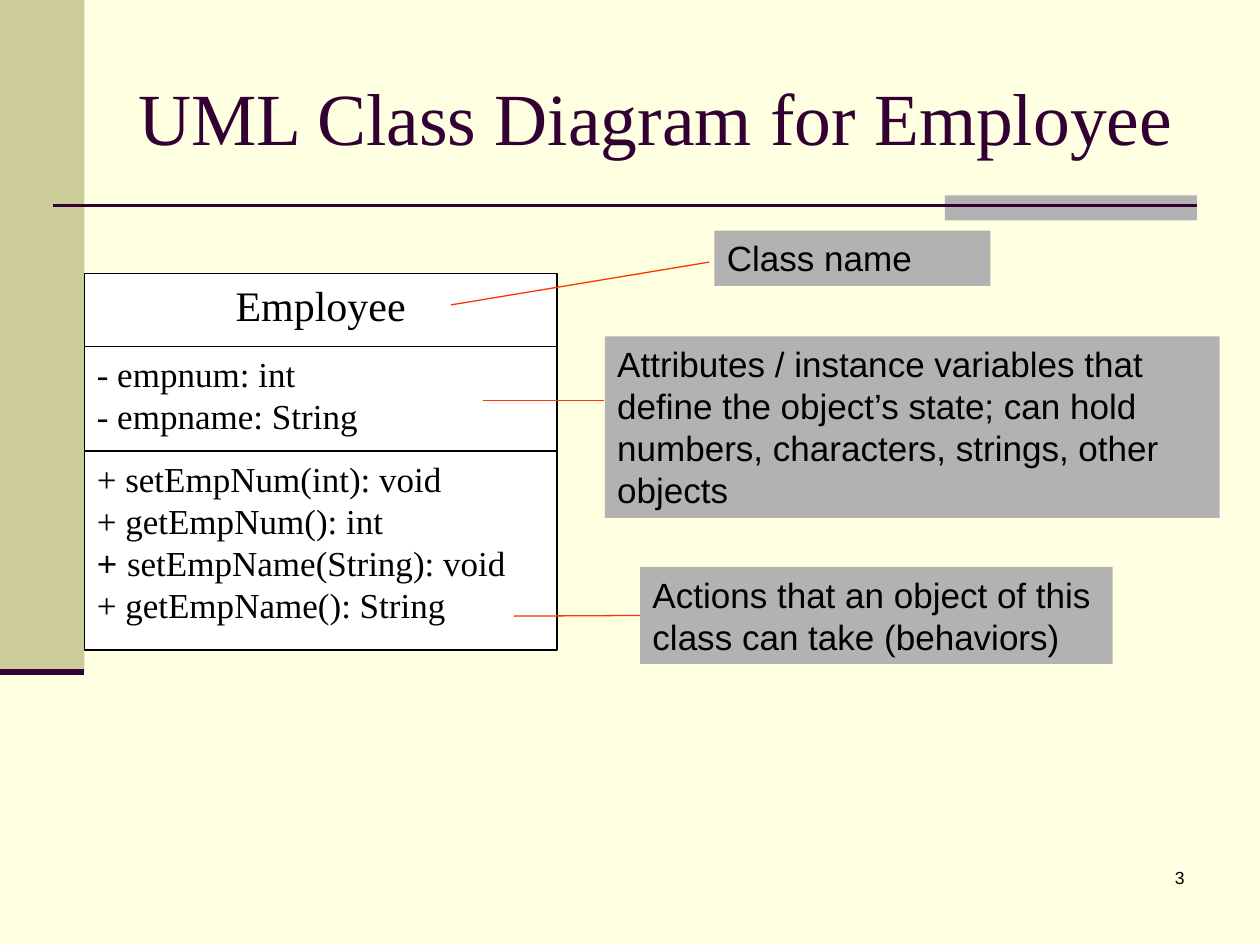
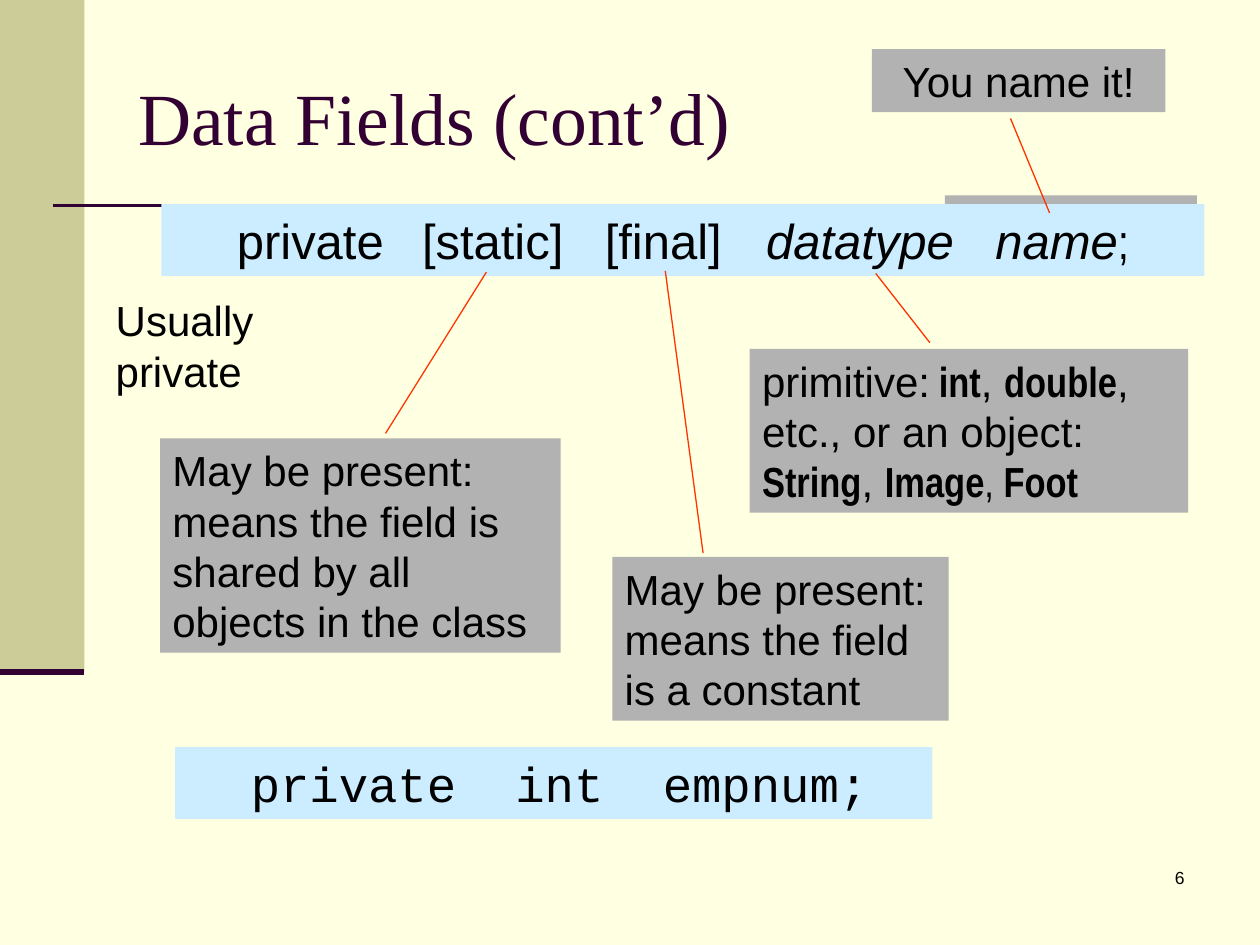
"""Build two slides on Java classes: a UML class diagram and the anatomy of a data field."""
from dataclasses import dataclass
from typing import Optional, Union

from lxml.etree import SubElement
from pptx import Presentation
from pptx.dml.color import RGBColor
from pptx.enum.shapes import MSO_CONNECTOR, MSO_SHAPE
from pptx.enum.text import MSO_ANCHOR, PP_ALIGN
from pptx.oxml.ns import qn
from pptx.presentation import Presentation as Deck
from pptx.shapes.autoshape import Shape
from pptx.shapes.connector import Connector
from pptx.slide import Slide
from pptx.text.text import Font
from pptx.util import Inches, Pt


@dataclass(frozen=True)
class Theme:
    page: str = "FFFFE1"
    sidebar: str = "CCCC99"
    accent: str = "330033"
    note: str = "B2B2B2"
    syntax: str = "CCECFF"
    pointer: str = "FF3300"
    text: str = "000000"
    white: str = "FFFFFF"
    sans: str = "Arial"
    narrow: str = "Arial Narrow"
    serif: str = "Times New Roman"
    mono: str = "Courier New"
    title_size: float = 42
    syntax_size: float = 28
    large_size: float = 24
    body_size: float = 20
    gap_size: float = 18
    number_size: float = 10
    thin: float = 0.75
    rule: float = 1.5
    thick: float = 3.5


THEME = Theme()


@dataclass(frozen=True)
class Span:
    text: str
    font: Optional[str] = None
    size: Optional[float] = None
    bold: Optional[bool] = None
    italic: Optional[bool] = None


Para = Union[str, tuple[Span, ...]]


@dataclass(frozen=True)
class Area:
    left: float
    top: float
    width: float
    height: float

    def lengths(self) -> tuple[int, ...]:
        """Return the four measures as lengths."""
        return tuple(Inches(v) for v in (self.left, self.top, self.width, self.height))


@dataclass(frozen=True)
class TextStyle:
    size: float
    font: str = THEME.sans
    color: str = THEME.text
    align: PP_ALIGN = PP_ALIGN.LEFT
    anchor: MSO_ANCHOR = MSO_ANCHOR.TOP
    inset: float = 0.1
    tabs: tuple[float, ...] = ()


@dataclass(frozen=True)
class Box:
    area: Area
    paras: tuple[Para, ...]
    style: TextStyle
    fill: Optional[str] = None
    line: Optional[str] = None


@dataclass(frozen=True)
class Stroke:
    start: tuple[float, float]
    end: tuple[float, float]
    color: str = THEME.pointer
    weight: float = THEME.thin


TITLE = TextStyle(THEME.title_size, THEME.serif, THEME.accent, anchor=MSO_ANCHOR.MIDDLE)
NUMBER = TextStyle(THEME.number_size, align=PP_ALIGN.RIGHT)
NOTE = TextStyle(THEME.body_size)
LARGE_NOTE = TextStyle(THEME.large_size)
CENTRED_NOTE = TextStyle(THEME.large_size, align=PP_ALIGN.CENTER)
CLASS_NAME = TextStyle(THEME.large_size, THEME.serif, align=PP_ALIGN.CENTER)
MEMBERS = TextStyle(THEME.body_size, THEME.serif)
SYNTAX = TextStyle(THEME.syntax_size, inset=0.6, tabs=(1.47, 2.92, 4.2, 6.02))
EXAMPLE = TextStyle(THEME.syntax_size, THEME.mono, inset=0.6, tabs=(2.1, 3.27))


def rgb(color: str) -> RGBColor:
    """Turn a hex string into a colour."""
    return RGBColor.from_string(color)


def style_span(font: Font, span: Span) -> None:
    """Apply the settings in which a span departs from its paragraph."""
    if span.font:
        font.name = span.font
    if span.size:
        font.size = Pt(span.size)
    font.bold = span.bold
    font.italic = span.italic


def write(shape: Shape, paras: tuple[Para, ...], style: TextStyle) -> None:
    """Fill a shape with styled paragraphs."""
    frame = shape.text_frame
    frame.word_wrap = True
    frame.vertical_anchor = style.anchor
    frame.margin_left = Inches(style.inset)
    frame.margin_right = Inches(0.1)
    frame.margin_top = frame.margin_bottom = Inches(0.05)
    for index, content in enumerate(paras):
        para = frame.paragraphs[0] if index == 0 else frame.add_paragraph()
        para.alignment = style.align
        if style.tabs:
            stops = SubElement(para._p.get_or_add_pPr(), qn("a:tabLst"))
            for stop in style.tabs:
                SubElement(stops, qn("a:tab"), pos=str(Inches(stop)), algn="l")
        para.font.name = style.font
        para.font.size = Pt(style.size)
        para.font.color.rgb = rgb(style.color)
        for span in (Span(content),) if isinstance(content, str) else content:
            run = para.add_run()
            run.text = span.text
            style_span(run.font, span)


def add_block(page: Slide, area: Area, fill: str, line: Optional[str] = None) -> Shape:
    """Draw a filled rectangle, outlined if a line colour is given."""
    block = page.shapes.add_shape(MSO_SHAPE.RECTANGLE, *area.lengths())
    block.shadow.inherit = False
    block.fill.solid()
    block.fill.fore_color.rgb = rgb(fill)
    if line:
        block.line.color.rgb = rgb(line)
        block.line.width = Pt(THEME.thin)
    else:
        block.line.fill.background()
    return block


def add_box(page: Slide, box: Box) -> Shape:
    """Draw a text box, or a rectangle with text when it has a fill."""
    if box.fill:
        shape = add_block(page, box.area, box.fill, box.line)
    else:
        shape = page.shapes.add_textbox(*box.area.lengths())
    write(shape, box.paras, box.style)
    return shape


def add_stroke(page: Slide, stroke: Stroke) -> Connector:
    """Draw a straight line without a shadow."""
    ends = (Inches(value) for value in stroke.start + stroke.end)
    connector = page.shapes.add_connector(MSO_CONNECTOR.STRAIGHT, *ends)
    connector.line.color.rgb = rgb(stroke.color)
    connector.line.width = Pt(stroke.weight)
    SubElement(connector._element.spPr, qn("a:effectLst"))
    return connector


def add_page(deck: Deck, title: str, number: int) -> Slide:
    """Add a slide with the shared bands, rules, title and number."""
    page = deck.slides.add_slide(deck.slide_layouts[6])
    page.background.fill.solid()
    page.background.fill.fore_color.rgb = rgb(THEME.page)
    add_block(page, Area(0, 0, 0.67, 5.33), THEME.sidebar)
    add_block(page, Area(7.5, 1.55, 2, 0.2), THEME.note)
    add_stroke(page, Stroke((0.42, 1.63), (9.5, 1.63), THEME.accent, THEME.rule))
    add_stroke(page, Stroke((0, 5.33), (0.67, 5.33), THEME.accent, THEME.thick))
    add_box(page, Box(Area(7.42, 6.83, 2.08, 0.5), (str(number),), NUMBER))
    add_box(page, Box(Area(1, 0.3, 8.5, 1.25), (title,), TITLE))
    return page


def build_class_diagram(deck: Deck) -> None:
    """Build the UML diagram with its three explanations."""
    page = add_page(deck, "UML Class Diagram for Employee", 3)
    compartments: tuple[tuple[float, TextStyle, tuple[Para, ...]], ...] = (
        (0.58, CLASS_NAME, ("Employee",)),
        (0.83, MEMBERS, ("- empnum: int", "- empname: String")),
        (1.58, MEMBERS, (
            "+ setEmpNum(int): void",
            "+ getEmpNum(): int",
            (Span("+ ", THEME.sans), Span("setEmpName(String): void")),
            "+ getEmpName(): String",
        )),
    )
    top = 2.17
    for height, style, paras in compartments:
        area = Area(0.67, top, 3.75, height)
        add_box(page, Box(area, paras, style, THEME.white, THEME.text))
        top += height

    attributes = (
        "Attributes / instance variables that define the object’s state; "
        "can hold numbers, characters, strings, other objects"
    )
    actions = "Actions that an object of this class can take (behaviors)"
    add_box(page, Box(Area(4.8, 2.67, 4.88, 1.44), (attributes,), NOTE, THEME.note))
    add_stroke(page, Stroke((3.83, 3.18), (4.79, 3.18)))
    add_box(page, Box(Area(5.67, 1.83, 2.19, 0.44), ("Class name",), NOTE, THEME.note))
    add_stroke(page, Stroke((3.58, 2.42), (5.63, 2.08)))
    behaviors = add_box(page, Box(Area(5.08, 4.5, 3.75, 0.77), (actions,), NOTE, THEME.note))
    pointer = add_stroke(page, Stroke((5.08, 4.89), (4.08, 4.89)))
    pointer.begin_connect(behaviors, 1)


def build_data_fields(deck: Deck) -> None:
    """Build the field declaration with a note for each of its parts."""
    page = add_page(deck, "Data Fields (cont’d)", 6)
    declaration = (
        Span("private\t[static]\t[final]\t"),
        Span("datatype\tname", italic=True),
        Span(";", THEME.narrow),
    )
    types = (
        Span("primitive:"),
        Span(" ", size=THEME.gap_size),
        Span("int", THEME.narrow, bold=True),
        Span(", "),
        Span("double", THEME.narrow, bold=True),
        Span(", etc., or an object: "),
        Span("String", THEME.narrow, bold=True),
        Span(", "),
        Span("Image", THEME.narrow, bold=True),
        Span(", ", THEME.narrow),
        Span("Foot", THEME.narrow, bold=True),
    )
    constant = "May be present: means the field is a constant"
    shared = "May be present: means the field is shared by all objects in the class"
    boxes = (
        Box(Area(1.28, 1.62, 8.28, 0.57), (declaration,), SYNTAX, THEME.syntax),
        Box(Area(0.82, 2.29, 1.36, 0.9), ("Usually private",), LARGE_NOTE),
        Box(Area(4.86, 4.42, 2.67, 1.3), (constant,), LARGE_NOTE, THEME.note),
        Box(Area(5.95, 2.77, 3.48, 1.3), (types,), LARGE_NOTE, THEME.note),
        Box(Area(6.92, 0.39, 2.33, 0.5), ("You name it!",), CENTRED_NOTE, THEME.note),
        Box(Area(1.27, 3.48, 3.18, 1.7), (shared,), LARGE_NOTE, THEME.note),
        Box(Area(1.39, 5.93, 6.01, 0.57), ("private\tint\tempnum;",), EXAMPLE, THEME.syntax),
    )
    pointers = (
        Stroke((5.28, 2.15), (5.58, 4.39)),
        Stroke((6.95, 2.17), (7.38, 2.72)),
        Stroke((8.02, 0.94), (8.33, 1.69)),
        Stroke((3.86, 2.16), (3.06, 3.44)),
    )
    for box in boxes:
        add_box(page, box)
    for pointer in pointers:
        add_stroke(page, pointer)


def main() -> None:
    """Build and save the deck."""
    deck = Presentation()
    deck.slide_width, deck.slide_height = Inches(10), Inches(7.5)
    build_class_diagram(deck)
    build_data_fields(deck)
    deck.save("out.pptx")


if __name__ == "__main__":
    main()
